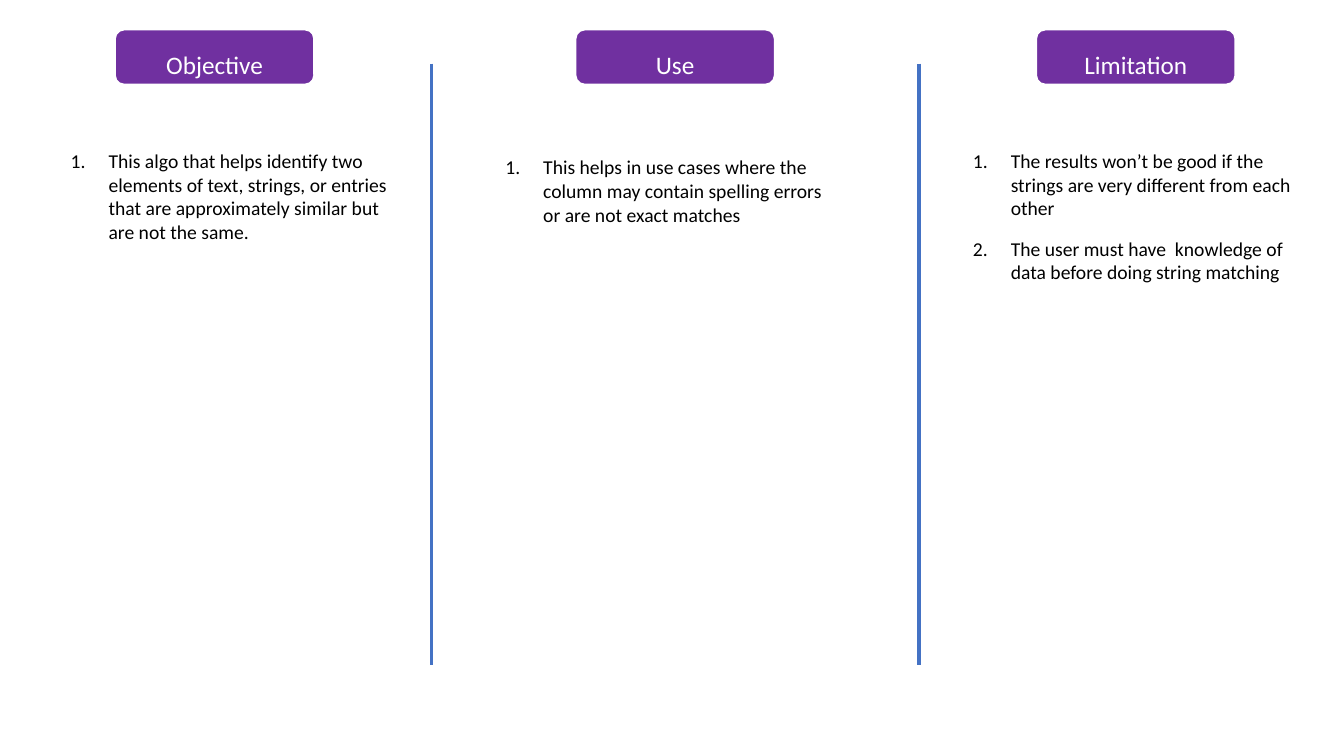
from dataclasses import dataclass

from lxml import etree
from pptx import Presentation
from pptx.dml.color import RGBColor
from pptx.enum.shapes import MSO_CONNECTOR, MSO_SHAPE
from pptx.enum.text import MSO_ANCHOR, PP_ALIGN
from pptx.oxml.ns import qn
from pptx.slide import Slide
from pptx.text.text import TextFrame, _Paragraph
from pptx.util import Pt

ROUNDED = MSO_SHAPE.ROUNDED_RECTANGLE
STRAIGHT = MSO_CONNECTOR.STRAIGHT
MIDDLE, TOP = MSO_ANCHOR.MIDDLE, MSO_ANCHOR.TOP
CENTER = PP_ALIGN.CENTER


@dataclass(frozen=True)
class Theme:
    font: str = "Calibri"
    header_size: float = 18
    body_size: float = 14
    header_fill: RGBColor = RGBColor(0x70, 0x30, 0xA0)
    divider: RGBColor = RGBColor(0x44, 0x72, 0xC4)
    white: RGBColor = RGBColor(0xFF, 0xFF, 0xFF)
    black: RGBColor = RGBColor(0x00, 0x00, 0x00)


@dataclass(frozen=True)
class Column:
    title: str
    points: tuple[str, ...]
    left: float
    top: float
    width: float


THEME = Theme()
SLIDE_WIDTH, SLIDE_HEIGHT = 960, 540
HEADER_LEFT, HEADER_STEP, HEADER_TOP = 82, 329, 21
HEADER_WIDTH, HEADER_HEIGHT = 142.5, 39.5
BODY_HEIGHT = 268.5
NUMBER_INDENT = 27
PARAGRAPH_GAP = 12
DIVIDER_LEFTS = (308, 656.5)
DIVIDER_TOP, DIVIDER_BOTTOM = 45.5, 475

COLUMNS = (
    Column(
        "Objective",
        ("This algo that helps identify two elements of text, strings, or entries "
         "that are approximately similar but are not the same.",),
        50.5, 106.5, 239,
    ),
    Column(
        "Use",
        ("This helps in use cases where the column may contain spelling errors "
         "or are not exact matches",),
        361, 111, 239,
    ),
    Column(
        "Limitation",
        ("The results won’t be good if the strings are very different from each other",
         "The user must have  knowledge of data before doing string matching"),
        695, 106.5, 247,
    ),
)


def prepare_frame(frame: TextFrame, anchor: MSO_ANCHOR) -> None:
    frame.word_wrap = True
    frame.vertical_anchor = anchor
    frame.margin_left = frame.margin_right = Pt(0)
    frame.margin_top = frame.margin_bottom = Pt(0)


def write(para: _Paragraph, text: str, size: float, color: RGBColor) -> None:
    para.text = text
    para.space_after = Pt(PARAGRAPH_GAP)
    para.font.name = THEME.font
    para.font.size = Pt(size)
    para.font.color.rgb = color


def number(para: _Paragraph) -> None:
    properties = para._p.get_or_add_pPr()
    properties.set("marL", str(Pt(NUMBER_INDENT)))
    properties.set("indent", str(-Pt(NUMBER_INDENT)))
    numbering = etree.Element(qn("a:buAutoNum"), type="arabicPeriod")
    properties.find(qn("a:defRPr")).addprevious(numbering)


def add_divider(page: Slide, left: float) -> None:
    divider = page.shapes.add_connector(
        STRAIGHT, Pt(left), Pt(DIVIDER_TOP), Pt(left), Pt(DIVIDER_BOTTOM))
    divider.line.color.rgb = THEME.divider
    divider.line.width = Pt(2.25)
    etree.SubElement(divider._element.spPr, qn("a:effectLst"))


def add_header(page: Slide, title: str, left: float) -> None:
    header = page.shapes.add_shape(
        ROUNDED, Pt(left), Pt(HEADER_TOP), Pt(HEADER_WIDTH), Pt(HEADER_HEIGHT))
    header.shadow.inherit = False
    header.fill.solid()
    header.fill.fore_color.rgb = THEME.header_fill
    header.line.color.rgb = THEME.white
    header.line.width = Pt(1.5)
    prepare_frame(header.text_frame, MIDDLE)
    para = header.text_frame.paragraphs[0]
    write(para, title, THEME.header_size, THEME.white)
    para.alignment = CENTER
    para.line_spacing = 1.5


def add_body(page: Slide, column: Column) -> None:
    box = page.shapes.add_textbox(
        Pt(column.left), Pt(column.top), Pt(column.width), Pt(BODY_HEIGHT))
    frame = box.text_frame
    prepare_frame(frame, TOP)
    for index, point in enumerate(column.points):
        para = frame.add_paragraph() if index else frame.paragraphs[0]
        write(para, point, THEME.body_size, THEME.black)
        number(para)


deck = Presentation()
deck.slide_width, deck.slide_height = Pt(SLIDE_WIDTH), Pt(SLIDE_HEIGHT)
page = deck.slides.add_slide(deck.slide_layouts[6])

for divider_left in DIVIDER_LEFTS:
    add_divider(page, divider_left)
for position, column in enumerate(COLUMNS):
    add_header(page, column.title, HEADER_LEFT + position * HEADER_STEP)
    add_body(page, column)

deck.save("out.pptx")
